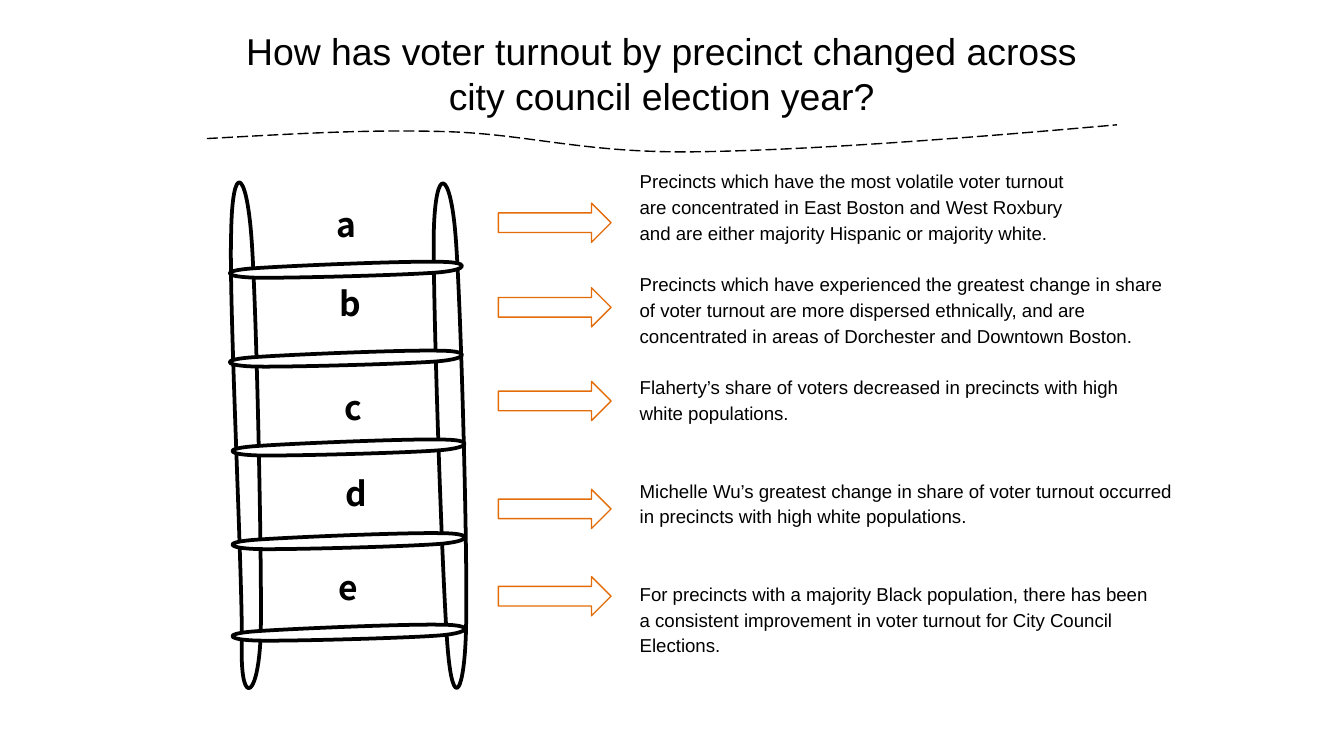
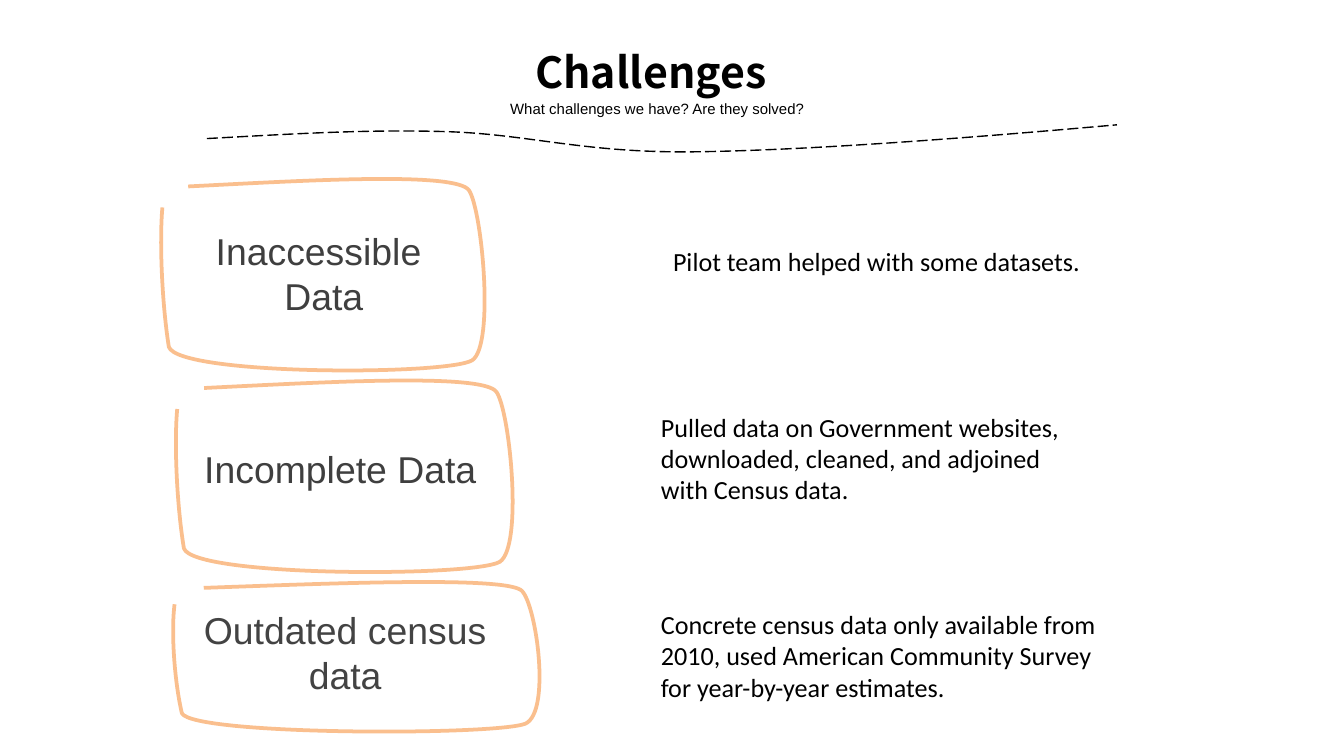
from pptx import Presentation
from pptx import util as u
from pptx.dml.color import RGBColor
from pptx.enum import dml, shapes, text
from pptx.oxml.ns import qn

INK = {"black": "000000", "white": "FFFFFF", "orange": "E36C09",
       "peach": "FABF8E", "grey": "3F3F3F", "slate": "434343"}
SANS, HEAD, BODY = "Arial", "Noto Sans CJK SC", "Calibri"

TITLE = "How has voter turnout by precinct changed across city council election year?"
STEPS = [
    dict(mark="a", at=(5.13, 3.73), arrow=3.84, wide=8.74, rung=(8.31, 4.95),
         say="Precincts which have the most volatile voter turnout are concentrated in East Boston "
             "and West Roxbury and are either majority Hispanic or majority white."),
    dict(mark="b", at=(5.21, 5.21), arrow=5.44, wide=10.39, rung=(8.31, 6.63),
         say="Precincts which have experienced the greatest change in share of voter turnout are more "
             "dispersed ethnically, and are concentrated in areas of Dorchester and Downtown Boston."),
    dict(mark="c", at=(5.26, 7.19), arrow=7.21, wide=9.88, rung=(8.36, 8.31),
         say="Flaherty’s share of voters decreased in precincts with high white populations."),
    dict(mark="d", at=(5.31, 8.81), arrow=9.25, wide=10.74, rung=(8.36, 10.08),
         say="Michelle Wu’s greatest change in share of voter turnout occurred in precincts "
             "with high white populations."),
    dict(mark="e", at=(5.16, 10.59), arrow=10.9, wide=10.24, rung=(8.36, 11.81),
         say="For precincts with a majority Black population, there has been a consistent improvement "
             "in voter turnout for City Council Elections."),
]
ISSUES = [
    dict(frame=(3.07, 3.38, 6.1, 3.61), name="Inaccessible \nData", box=(3.07, 4.19, 6.1, 1.96),
         hue="grey", mid=True,
         say="Pilot team helped with some datasets.",
         at=(12.47, 4.39, 9.09, 1.12)),
    dict(frame=(3.35, 7.19, 6.35, 3.61), name="Incomplete Data", box=(3.61, 8.31, 6.91, 1.12),
         hue="grey", mid=False,
         say="Pulled data on Government websites, downloaded, cleaned, and adjoined with Census data.",
         at=(12.24, 7.52, 8.48, 2.31)),
    dict(frame=(3.3, 11, 6.91, 2.82), name="Outdated census data", box=(3.07, 11.35, 6.91, 1.96),
         hue="slate", mid=True,
         say="Concrete census data only available from 2010, used American Community Survey "
             "for year-by-year estimates.",
         at=(12.24, 11.25, 9.09, 2.31)),
]

WAVE = [(3.91, 2.62), (5.41, 2.54), (6.91, 2.44), (8.46, 2.49), (10.01, 2.54),
        (11.05, 2.9), (13.16, 2.87), (15.27, 2.84), (18.19, 2.62), (21.11, 2.36)]
RAILS = [
    [(4.37, 4.39), (4.32, 5.69), (4.6, 11.15), (4.57, 12.27), (4.55, 13.39), (4.9, 13.21),
     (4.93, 11.91), (4.95, 10.62), (4.85, 5.69), (4.75, 4.45), (4.65, 3.18), (4.39, 3.07),
     (4.37, 4.39)],
    [(8.2, 4.39), (8.18, 5.69), (8.36, 11.02), (8.46, 12.24), (8.56, 13.49), (8.79, 13.11),
     (8.81, 11.81), (8.84, 10.49), (8.71, 5.66), (8.61, 4.45), (8.51, 3.2), (8.23, 3.1),
     (8.2, 4.39)],
]
RUNG = [(0, 0), (-0.61, -0.02), (-3.02, 0.08), (-3.61, 0.13), (-4.17, 0.18), (-4.04, 0.29),
        (-3.45, 0.3), (-2.84, 0.31), (-0.61, 0.25), (-0.03, 0.2), (0.56, 0.15), (0.58, 0), (0, 0)]
FRAME = [(0.08, 0.04), (0.43, 0.01), (0.91, -0.04), (0.95, 0.06), (0.99, 0.16), (1.03, 0.87),
         (0.96, 0.95), (0.88, 1.03), (0.05, 1.03), (0.02, 0.88), (0, 0.67), (-0.01, 0.34),
         (0, 0.15)]


def rgb(hue):
    return RGBColor.from_string(INK[hue])


def paint(shape, line, width, fill=None):
    shape.shadow.inherit = False
    if fill:
        shape.fill.solid()
        shape.fill.fore_color.rgb = rgb(fill)
    else:
        shape.fill.background()
    shape.line.color.rgb = rgb(line)
    shape.line.width = u.Pt(width)
    return shape


def curve(slide, dots, line, width, fill=None):
    pts = [(u.Cm(x), u.Cm(y)) for x, y in dots]
    pen = slide.shapes.build_freeform(*pts[0])
    pen.add_line_segments(pts[1:], close=dots[0] == dots[-1])
    shape = pen.convert_to_shape()
    legs = list(shape.element.iter(qn("a:lnTo")))
    for i in range(0, len(legs), 3):
        bend = legs[i].makeelement(qn("a:cubicBezTo"))
        legs[i].addprevious(bend)
        for leg in legs[i:i + 3]:
            bend.append(leg[0])
            leg.getparent().remove(leg)
    return paint(shape, line, width, fill)


def write(slide, words, at, size, font=SANS, hue="black", bold=False, mid=False, pad=0.13, lead=None):
    frame = slide.shapes.add_textbox(*map(u.Cm, at)).text_frame
    frame.word_wrap = True
    frame.margin_top = frame.margin_bottom = u.Cm(pad)
    frame.text = words
    for para in frame.paragraphs:
        para.alignment = text.PP_ALIGN.CENTER if mid else text.PP_ALIGN.LEFT
        if lead:
            para.line_spacing = lead
        face = para.runs[0].font
        face.name, face.size, face.bold = font, u.Pt(size), bold
        face.color.rgb = rgb(hue)


def start(deck):
    slide = deck.slides.add_slide(deck.slide_layouts[6])
    wave = curve(slide, WAVE, "black", 0.75)
    wave.line.dash_style = dml.MSO_LINE.LONG_DASH
    return slide


def ladder(deck):
    slide = start(deck)
    write(slide, TITLE, (3.91, 0.41, 17.2, 1.96), 20, mid=True)
    for rail in RAILS:
        curve(slide, rail, "black", 2, "white")
    for step in reversed(STEPS):
        left, top = step["rung"]
        curve(slide, [(left + x, top + y) for x, y in RUNG], "black", 2, "white")
    for i, step in enumerate(STEPS):
        write(slide, step["mark"], (*step["at"], 2.84, 1.02), 18, font=HEAD, bold=True, mid=True)
        arrow = slide.shapes.add_shape(shapes.MSO_SHAPE.RIGHT_ARROW,
                                       *map(u.Cm, (9.42, step["arrow"], 2.13, 0.74)))
        paint(arrow, "orange", 0.75)
        write(slide, step["say"], (11.84, 3.02 + 1.95 * i, step["wide"], 1.55), 10, lead=1.15)


def issues(deck):
    slide = start(deck)
    write(slide, "Challenges", (8.76, 0.74, 7.09, 1.24), 23, font=HEAD, bold=True, mid=True)
    write(slide, "What challenges we have? Are they solved?", (9.25, 1.75, 6.35, 0.61), 8, mid=True)
    for item in ISSUES:
        left, top, wide, high = item["frame"]
        curve(slide, [(left + x * wide, top + y * high) for x, y in FRAME], "peach", 2)
        write(slide, item["name"], item["box"], 20, hue=item["hue"], mid=item["mid"])
        write(slide, item["say"], item["at"], 14, font=BODY, pad=0.25)


def main():
    deck = Presentation()
    deck.slide_width, deck.slide_height = u.Cm(25.4), u.Cm(14.29)
    ladder(deck)
    issues(deck)
    deck.save("out.pptx")


if __name__ == "__main__":
    main()
